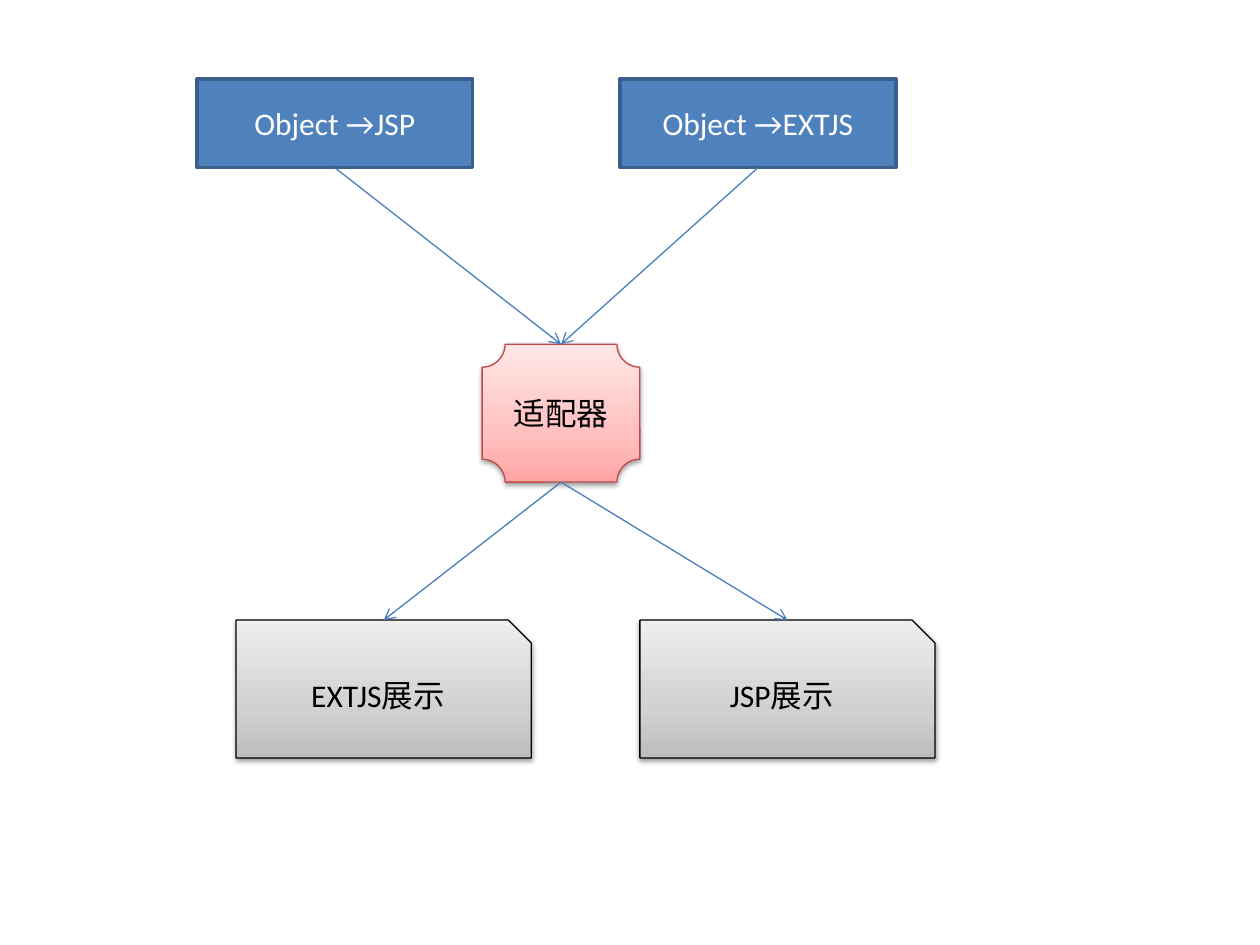
"""Build a slide showing an adapter between two object sources and two views."""
from dataclasses import dataclass
from typing import Optional

from lxml import etree
from pptx import Presentation
from pptx import util as u
from pptx.dml.color import RGBColor
from pptx.enum import shapes, text
from pptx.oxml.ns import qn

FONT = "Calibri"
ARROW_COLOUR = "4B7EBC"
STOP_POSITIONS = (0, 35, 100)
GREYS = ("BDBDBD", "D1D1D1", "EEEEEE")
REDS = ("FFA6A5", "FFC0BF", "FFE7E7")


@dataclass(frozen=True)
class Style:
    preset: shapes.MSO_SHAPE
    width: float
    height: float
    outline: str
    outline_width: float
    text_colour: str
    fill: Optional[str] = None
    gradient: tuple = ()


@dataclass(frozen=True)
class Node:
    label: str
    left: float
    top: float
    style: Style


SOURCE = Style(shapes.MSO_SHAPE.RECTANGLE, 5.56, 1.79, "3A5F8C", 2, "FFFFFF", fill="4F81BD")
VIEW = Style(shapes.MSO_SHAPE.SNIP_1_RECTANGLE, 5.95, 2.78, "000000", 0.75, "000000", gradient=GREYS)
ADAPTER = Style(shapes.MSO_SHAPE.PLAQUE, 3.18, 2.78, "BF4C48", 0.75, "000000", gradient=REDS)

SOURCES = (
    Node("Object →JSP", 3.97, 1.59, SOURCE),
    Node("Object →EXTJS", 12.5, 1.59, SOURCE),
)
VIEWS = (
    Node("EXTJS展示", 4.76, 12.5, VIEW),
    Node("JSP展示", 12.9, 12.5, VIEW),
)
ADAPTER_NODE = Node("适配器", 9.72, 6.94, ADAPTER)


def colour(hex_value: str) -> RGBColor:
    """Return the colour for a hex string."""
    return RGBColor.from_string(hex_value)


def add_colour(parent, hex_value: str):
    """Append an RGB colour element and return it."""
    return etree.SubElement(parent, qn("a:srgbClr"), val=hex_value)


def paint_gradient(shape, hex_values: tuple) -> None:
    """Fill the shape from bottom to top with the given colours."""
    shape.fill.gradient()
    shape.fill.gradient_angle = 90
    stops = shape._element.spPr.find(qn("a:gradFill")).find(qn("a:gsLst"))
    for stop in list(stops):
        stops.remove(stop)
    for position, hex_value in zip(STOP_POSITIONS, hex_values):
        add_colour(etree.SubElement(stops, qn("a:gs"), pos=str(position * 1000)), hex_value)


def cast_shadow(shape) -> None:
    """Give the shape a soft shadow straight below."""
    effects = shape._element.spPr.find(qn("a:effectLst"))
    shadow = etree.SubElement(
        effects, qn("a:outerShdw"), blurRad=str(u.Pt(3.1)), dist=str(u.Pt(1.6)),
        dir="5400000", rotWithShape="0",
    )
    etree.SubElement(add_colour(shadow, "000000"), qn("a:alpha"), val="38000")


def draw_node(slide, node: Node):
    """Draw a labelled node and return its shape."""
    style = node.style
    shape = slide.shapes.add_shape(
        style.preset, u.Cm(node.left), u.Cm(node.top), u.Cm(style.width), u.Cm(style.height)
    )
    shape.shadow.inherit = False
    shape.line.color.rgb = colour(style.outline)
    shape.line.width = u.Pt(style.outline_width)
    if style.gradient:
        paint_gradient(shape, style.gradient)
        cast_shadow(shape)
    else:
        shape.fill.solid()
        shape.fill.fore_color.rgb = colour(style.fill)

    frame = shape.text_frame
    frame.text = node.label
    frame.vertical_anchor = text.MSO_ANCHOR.MIDDLE
    paragraph = frame.paragraphs[0]
    paragraph.alignment = text.PP_ALIGN.CENTER
    font = paragraph.runs[0].font
    font.name = FONT
    font.size = u.Pt(18)
    font.color.rgb = colour(style.text_colour)
    return shape


def draw_arrow(slide, upper, lower) -> None:
    """Join the bottom of one node to the top of another with an arrow."""
    arrow = slide.shapes.add_connector(shapes.MSO_CONNECTOR.STRAIGHT, 0, 0, 0, 0)
    arrow.begin_connect(upper, 2)
    arrow.end_connect(lower, 0)
    arrow.line.color.rgb = colour(ARROW_COLOUR)
    arrow.line.width = u.Pt(0.75)
    properties = arrow._element.spPr
    etree.SubElement(properties.find(qn("a:ln")), qn("a:tailEnd"), type="arrow")
    etree.SubElement(properties, qn("a:effectLst"))


def main() -> None:
    """Build and save the presentation."""
    presentation = Presentation()
    presentation.slide_width = u.Cm(25.4)
    presentation.slide_height = u.Cm(19.05)
    slide = presentation.slides.add_slide(presentation.slide_layouts[6])

    sources = [draw_node(slide, node) for node in SOURCES]
    views = [draw_node(slide, node) for node in VIEWS]
    adapter = draw_node(slide, ADAPTER_NODE)
    for view in reversed(views):
        draw_arrow(slide, adapter, view)
    for source in sources:
        draw_arrow(slide, source, adapter)

    presentation.save("out.pptx")


if __name__ == "__main__":
    main()
